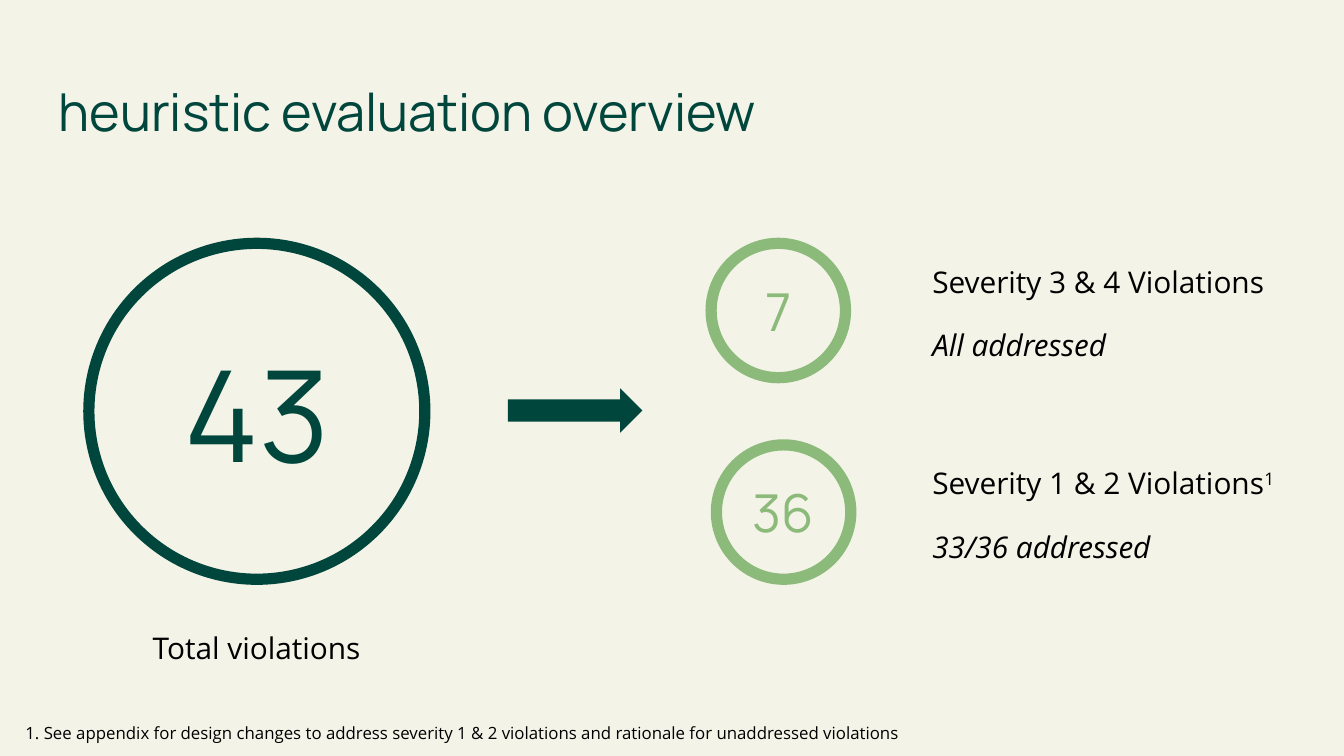
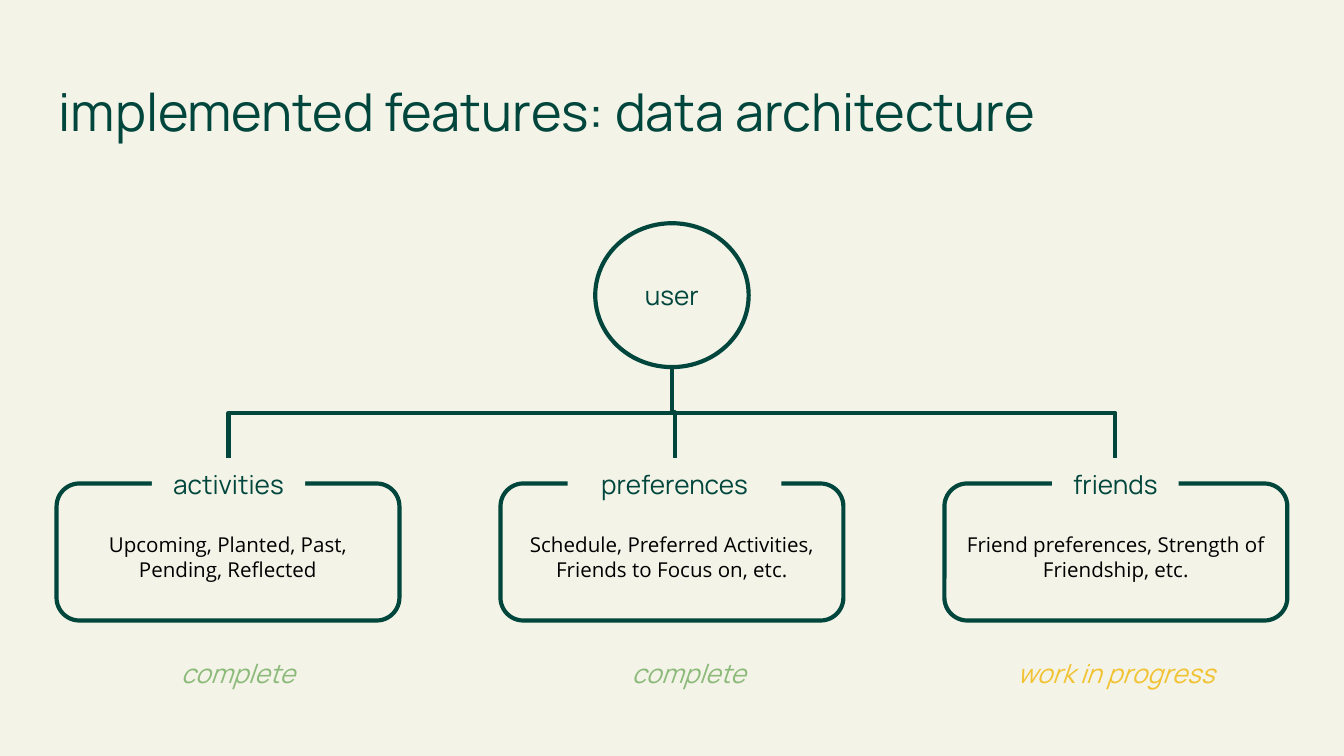
from lxml import etree
from pptx import Presentation
from pptx.dml.color import RGBColor
from pptx.enum.shapes import MSO_CONNECTOR, MSO_SHAPE
from pptx.enum.text import MSO_ANCHOR, MSO_AUTO_SIZE, PP_ALIGN
from pptx.oxml.ns import qn
from pptx.util import Cm, Pt

ELLIPSE, ROUNDED = MSO_SHAPE.OVAL, MSO_SHAPE.ROUNDED_RECTANGLE
RECTANGLE, ARROW = MSO_SHAPE.RECTANGLE, MSO_SHAPE.RIGHT_ARROW
ELBOW = MSO_CONNECTOR.ELBOW
TOP, MIDDLE = MSO_ANCHOR.TOP, MSO_ANCHOR.MIDDLE
LEFT, CENTER = PP_ALIGN.LEFT, PP_ALIGN.CENTER
NO_AUTOFIT = MSO_AUTO_SIZE.NONE

COLORS = {
    "paper": "F4F3E7",
    "forest": "00463C",
    "leaf": "8CBA7A",
    "amber": "F1C232",
    "ink": "000000",
}
HEADING_FONT, BODY_FONT = "Manrope", "Open Sans"
INSET = 0.25

OVERVIEW_TITLE = "heuristic evaluation overview"
TOTAL, TOTAL_LABEL = "43", "Total violations"
SEVERITIES = [
    {"count": "7", "left": 13.44, "label": "Severity 3 & 4 Violations",
     "mark": "", "outcome": "All addressed"},
    {"count": "36", "left": 13.54, "label": "Severity 1 & 2 Violations",
     "mark": "1", "outcome": "33/36 addressed"},
]
FOOTNOTE = ("1. See appendix for design changes to address severity 1 & 2 violations "
            "and rationale for unaddressed violations")

ARCHITECTURE_TITLE = "implemented features: data architecture"
ROOT = "user"
BRANCHES = [
    {"name": "activities", "name_width": 2.9, "center": 4.32,
     "details": "Upcoming, Planted, Past, Pending, Reflected",
     "status": "complete", "status_color": "leaf", "status_left": 2.87, "status_width": 3.25},
    {"name": "preferences", "name_width": 4.04, "center": 12.75,
     "details": "Schedule, Preferred Activities, Friends to Focus on, etc.",
     "status": "complete", "status_color": "leaf", "status_left": 11.25, "status_width": 3.53},
    {"name": "friends", "name_width": 2.39, "center": 21.08,
     "details": "Friend preferences, Strength of Friendship, etc.",
     "status": "work in progress", "status_color": "amber", "status_left": 18.64,
     "status_width": 4.9},
]


def rgb(name):
    return RGBColor.from_string(COLORS[name])


def add_text(shape, text, size, font=HEADING_FONT, color="forest", align=CENTER,
             italic=False, superscript="", spacing=None, before=0, after=0):
    frame = shape.text_frame
    paragraph = frame.add_paragraph() if frame.text else frame.paragraphs[0]
    paragraph.alignment = align
    paragraph.line_spacing = spacing
    paragraph.space_before, paragraph.space_after = Pt(before), Pt(after)
    for content in filter(None, (text, superscript)):
        run = paragraph.add_run()
        run.text = content
        run.font.name, run.font.size = font, Pt(size)
        run.font.italic = italic
        run.font.color.rgb = rgb(color)
        if content is superscript:
            run._r.get_or_add_rPr().set("baseline", "30000")


def set_frame(shape, anchor, top_inset=INSET):
    frame = shape.text_frame
    frame.word_wrap, frame.auto_size = True, NO_AUTOFIT
    frame.vertical_anchor = anchor
    frame.margin_left = frame.margin_right = frame.margin_bottom = Cm(INSET)
    frame.margin_top = Cm(top_inset)


def add_box(slide, left, top, width, height, anchor=MIDDLE):
    box = slide.shapes.add_textbox(Cm(left), Cm(top), Cm(width), Cm(height))
    set_frame(box, anchor)
    return box


def add_figure(slide, kind, left, top, width, height, fill=None, line=None,
               weight=2.25, top_inset=INSET):
    figure = slide.shapes.add_shape(kind, Cm(left), Cm(top), Cm(width), Cm(height))
    figure.shadow.inherit = False
    if fill:
        figure.fill.solid()
        figure.fill.fore_color.rgb = rgb(fill)
    else:
        figure.fill.background()
    if line:
        figure.line.color.rgb = rgb(line)
        figure.line.width = Pt(weight)
    else:
        figure.line.fill.background()
    set_frame(figure, MIDDLE, top_inset)
    return figure


def add_branch_line(slide, start_x, start_y, end_x, end_y):
    middle_x, middle_y = (start_x + end_x) / 2, (start_y + end_y) / 2
    rightward = end_x > start_x
    half_drop = (end_y - start_y) / 2 * (-1 if rightward else 1)
    half_reach = abs(end_x - start_x) / 2
    line = slide.shapes.add_connector(
        ELBOW, Cm(middle_x - half_drop), Cm(middle_y - half_reach),
        Cm(middle_x + half_drop), Cm(middle_y + half_reach))
    line.line.color.rgb = rgb("forest")
    line.line.width = Pt(2.25)
    properties = line._element.spPr
    properties.find(qn("a:xfrm")).set("rot", str((270 if rightward else 90) * 60000))
    etree.SubElement(properties, qn("a:effectLst"))


def add_slide(deck, title_text):
    slide = deck.slides.add_slide(deck.slide_layouts[5])
    title = slide.shapes.title
    title.left, title.top, title.width, title.height = Cm(0.86), Cm(1.24), Cm(23.67), Cm(1.6)
    set_frame(title, TOP)
    add_text(title, title_text, 28, align=LEFT)
    return slide


def build_overview(deck):
    slide = add_slide(deck, OVERVIEW_TITLE)
    body = {"font": BODY_FONT, "color": "ink", "spacing": 1.15}
    first_top, row_step, ring_size, total_size = 4.6, 3.81, 2.54, 6.35

    total_label = add_box(slide, 1.04, 11.56, 7.62, 2.54, anchor=TOP)
    add_text(total_label, TOTAL_LABEL, 16, after=12, **body)
    total = add_figure(slide, ELLIPSE, 1.68, first_top, total_size, total_size,
                       line="forest", weight=6)
    add_text(total, TOTAL, 68)

    for row, severity in enumerate(SEVERITIES):
        top = first_top + row * row_step
        ring = add_figure(slide, ELLIPSE, severity["left"], top, ring_size, ring_size,
                          line="leaf", weight=6)
        add_text(ring, severity["count"], 28, color="leaf")
        summary = add_box(slide, 17.37, top, 8.99, ring_size)
        add_text(summary, severity["label"], 16, align=LEFT,
                 superscript=severity["mark"], **body)
        add_text(summary, severity["outcome"], 16, align=LEFT, italic=True,
                 before=12, after=12, **body)

    add_figure(slide, ARROW, 9.6, 7.34, 2.54, 0.84, fill="forest")
    footnote = add_box(slide, 0.23, 13.34, 23.67, 0.97)
    add_text(footnote, FOOTNOTE, 9, align=LEFT, after=12, **body)


def build_architecture(deck):
    slide = add_slide(deck, ARCHITECTURE_TITLE)
    root_center, root_top, root_width, root_height = 12.7, 4.22, 2.9, 2.72
    card_left, card_step, card_width = 1.07, 8.39, 6.48
    name_top, label_height = 8.66, 0.97

    root = add_figure(slide, ELLIPSE, root_center - root_width / 2, root_top,
                      root_width, root_height, fill="paper", line="forest")
    add_text(root, ROOT, 14)

    for column, branch in enumerate(BRANCHES):
        card = add_figure(slide, ROUNDED, card_left + column * card_step, 9.14,
                          card_width, 2.59, line="forest", top_inset=0.44)
        add_text(card, branch["details"], 11, font=BODY_FONT, color="ink")
        name = add_figure(slide, RECTANGLE, branch["center"] - branch["name_width"] / 2,
                          name_top, branch["name_width"], label_height, fill="paper")
        add_text(name, branch["name"], 14)
        status = add_figure(slide, RECTANGLE, branch["status_left"], 12.24,
                            branch["status_width"], label_height, fill="paper")
        add_text(status, branch["status"], 14, color=branch["status_color"], italic=True)
        add_branch_line(slide, root_center, root_top + root_height,
                        branch["center"], name_top)


def main():
    deck = Presentation()
    deck.slide_width, deck.slide_height = Cm(25.4), Cm(14.29)
    background = deck.slide_master.background.fill
    background.solid()
    background.fore_color.rgb = rgb("paper")
    build_overview(deck)
    build_architecture(deck)
    deck.save("out.pptx")


if __name__ == "__main__":
    main()
